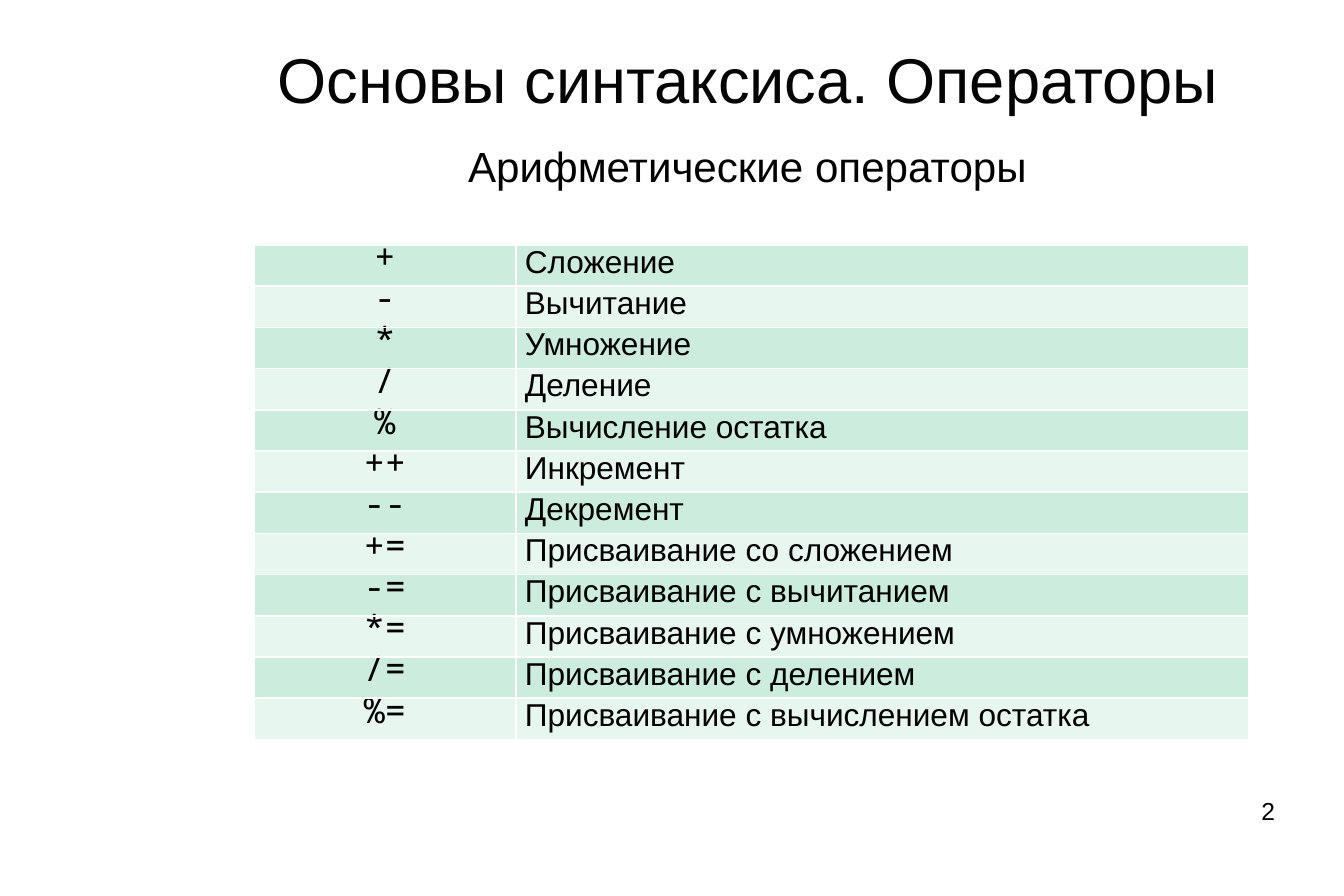
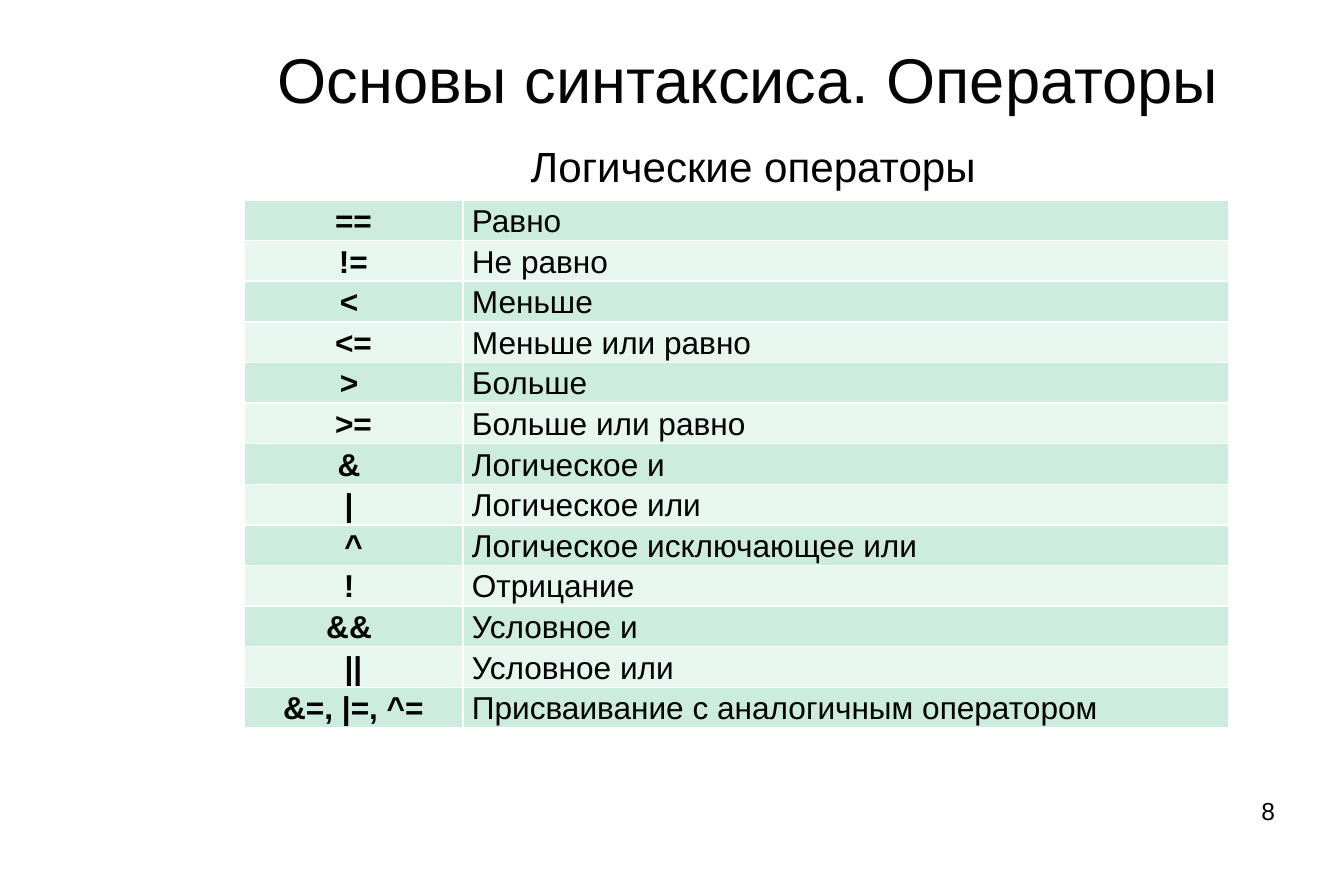
import pptx
import pptx.util
import pptx.dml.color
import pptx.enum.text
import pptx.oxml
import pptx.oxml.ns

Pt = pptx.util.Pt
Align = pptx.enum.text.PP_ALIGN
Anchor = pptx.enum.text.MSO_ANCHOR
AutoSize = pptx.enum.text.MSO_AUTO_SIZE

BLACK = pptx.dml.color.RGBColor(0x00, 0x00, 0x00)
TITLE_INK = pptx.dml.color.RGBColor(0x05, 0x05, 0x05)
WHITE = pptx.dml.color.RGBColor(0xFF, 0xFF, 0xFF)
MINT = pptx.dml.color.RGBColor(0xCC, 0xEC, 0xDE)
PALE_MINT = pptx.dml.color.RGBColor(0xE7, 0xF6, 0xEF)

SANS = "Arial"
MONO = "Noto Sans Mono"


def px(length):
    return round(length * 914400 / 126.4)


class Deck:
    title_text = "Основы синтаксиса. Операторы"
    row_fills = (MINT, PALE_MINT)

    def __init__(self):
        self.presentation = pptx.Presentation()
        self.presentation.slide_width = px(1344)
        self.presentation.slide_height = px(896)
        self.slide = None

    def new_slide(self, subtitle, number):
        layout = self.presentation.slide_layouts[5]
        self.slide = self.presentation.slides.add_slide(layout)
        background = self.slide.background.fill
        background.solid()
        background.fore_color.rgb = WHITE
        self.title()
        self.subtitle(subtitle)
        self.page_number(number)

    def add_text(self, frame, text, size, align, color=BLACK, font=SANS,
                 bold=False, spacing=None, after=None):
        paragraph = frame.paragraphs[0]
        paragraph.alignment = align
        paragraph.line_spacing = spacing
        paragraph.space_after = after
        run = paragraph.add_run()
        run.text = text
        run.font.size = Pt(size)
        run.font.name = font
        run.font.bold = bold
        run.font.color.rgb = color

    def insets(self, target, left, top, right, bottom):
        target.margin_left, target.margin_top = px(left), px(top)
        target.margin_right, target.margin_bottom = px(right), px(bottom)

    def title(self):
        heading = self.slide.shapes.title
        heading.left, heading.top = px(219), px(18)
        heading.width, heading.height = px(1058), px(123)
        frame = heading.text_frame
        frame.word_wrap = True
        frame.auto_size = AutoSize.NONE
        frame.vertical_anchor = Anchor.MIDDLE
        self.insets(frame, 0, 5, 0, 0)
        self.add_text(frame, self.title_text, 36, Align.CENTER, TITLE_INK, spacing=0.93)

    def text_box(self, left, top, width, height):
        box = self.slide.shapes.add_textbox(px(left), px(top), px(width), px(height))
        box.text_frame.word_wrap = True
        return box.text_frame

    def subtitle(self, text):
        frame = self.text_box(219, 139, 1057, 61)
        frame.auto_size = AutoSize.SHAPE_TO_FIT_TEXT
        self.add_text(frame, text, 24, Align.CENTER, spacing=0.93)

    def page_number(self, number):
        frame = self.text_box(963, 796, 312, 62)
        self.insets(frame, 0, 0, 0, 0)
        self.add_text(frame, str(number), 14, Align.RIGHT)

    def borders(self, cell):
        properties = cell._tc.get_or_add_tcPr()
        for side in ("lnL", "lnR", "lnT", "lnB"):
            properties.append(pptx.oxml.parse_xml(
                f'<a:{side} {pptx.oxml.ns.nsdecls("a")} w="{Pt(1)}"><a:solidFill>'
                f'<a:srgbClr val="{WHITE}"/></a:solidFill></a:{side}>'))

    def operator_table(self, operators, left, top, widths, height,
                       symbol_style, spacing, after=None):
        table = self.slide.shapes.add_table(
            len(operators), 2, px(left), px(top), px(sum(widths)), px(height)).table
        table.first_row = False
        table.horz_banding = False
        for column, width in zip(table.columns, widths):
            column.width = px(width)
        styles = (dict(align=Align.CENTER, **symbol_style),
                  dict(align=Align.LEFT, size=18))
        for row, operator in enumerate(operators):
            for column, (text, style) in enumerate(zip(operator, styles)):
                cell = table.cell(row, column)
                self.borders(cell)
                cell.fill.solid()
                cell.fill.fore_color.rgb = self.row_fills[row % 2]
                cell.vertical_anchor = Anchor.MIDDLE
                self.insets(cell, 9, 0, 9, 0)
                self.add_text(cell.text_frame, text, spacing=spacing, after=after, **style)


ARITHMETIC = [
    ("+", "Сложение\u00a0"),
    ("-", "Вычитание\u00a0"),
    ("*", "Умножение"),
    ("/", "Деление"),
    ("%", "Вычисление остатка"),
    ("++", "Инкремент"),
    ("--", "Декремент"),
    ("+=", "Присваивание со сложением"),
    ("-=", "Присваивание с вычитанием"),
    ("*=", "Присваивание с умножением"),
    ("/=", "Присваивание с делением"),
    ("%=", "Присваивание с вычислением остатка"),
]

LOGICAL = [
    ("==", "Равно"),
    ("!=", "Не равно"),
    ("<\u00a0", "Меньше"),
    ("<=", "Меньше или равно"),
    ("> ", "Больше"),
    (">=", "Больше или равно"),
    ("& ", "Логическое и"),
    ("| ", "Логическое или"),
    ("^", "Логическое исключающее или"),
    ("! ", "Отрицание"),
    ("&& ", "Условное и"),
    ("||", "Условное или"),
    ("&=, |=, ^=", "Присваивание с аналогичным оператором"),
]

deck = Deck()

deck.new_slide("Арифметические операторы", 2)
deck.operator_table(ARITHMETIC, 254, 245, (262, 733), 495,
                    dict(size=20, font=MONO), Pt(16.5), Pt(3.8))

deck.new_slide(" Логические операторы", 8)
deck.operator_table(LOGICAL, 244, 200, (219, 766), 527,
                    dict(size=18, bold=True), 1.07)

deck.presentation.save("out.pptx")
